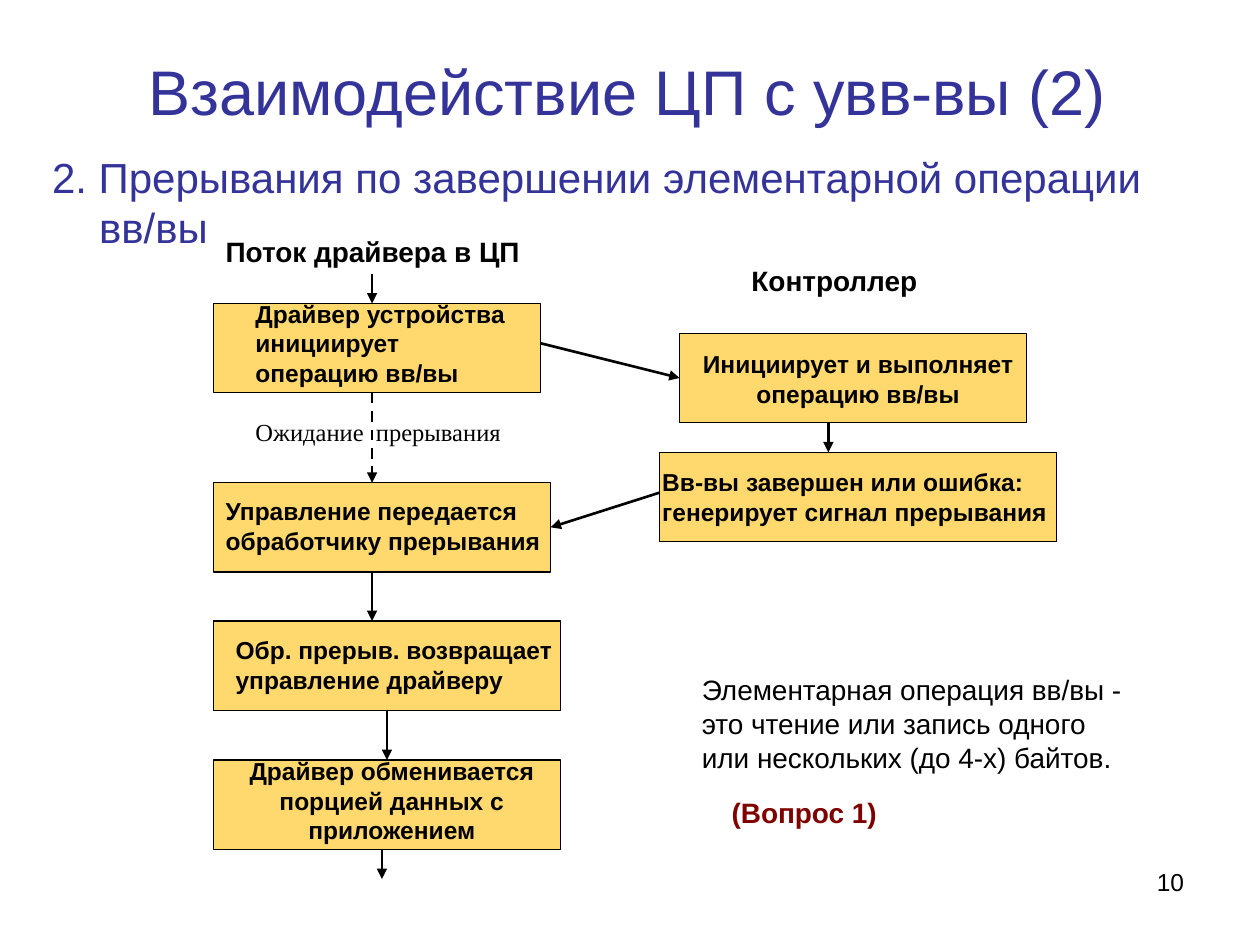
"""Build the slide on interrupt-driven exchange between the CPU and I/O devices."""
import pptx
import pptx.dml.color
import pptx.enum.dml
import pptx.enum.shapes
import pptx.enum.text
import pptx.oxml
import pptx.oxml.ns
import pptx.util

Cm = pptx.util.Cm
Pt = pptx.util.Pt
RGBColor = pptx.dml.color.RGBColor
ALIGN = pptx.enum.text.PP_ALIGN
ANCHOR = pptx.enum.text.MSO_ANCHOR

INDIGO = RGBColor(0x33, 0x33, 0x99)
GOLD = RGBColor(0xFF, 0xD9, 0x6D)
BLACK = RGBColor(0, 0, 0)
MAROON = RGBColor(0x80, 0, 0)

prs = pptx.Presentation()
prs.slide_width = Cm(25.4)
prs.slide_height = Cm(19.05)
s = prs.slides.add_slide(prs.slide_layouts[6])


def add_text(x, y, w, h, text, size, bold=False, color=BLACK, align=ALIGN.LEFT, font="Arial"):
    tf = s.shapes.add_textbox(Cm(x), Cm(y), Cm(w), Cm(h)).text_frame
    tf.word_wrap = True
    tf.text = text
    for p in tf.paragraphs:
        p.alignment = align
        for r in p.runs:
            r.font.name = font
            r.font.size = Pt(size)
            r.font.bold = bold
            r.font.color.rgb = color
    return tf


def add_arrow(x1, y1, x2, y2):
    line = s.shapes.add_connector(
        pptx.enum.shapes.MSO_CONNECTOR.STRAIGHT, Cm(x1), Cm(y1), Cm(x2), Cm(y2))
    line.line.color.rgb = BLACK
    line.line.width = Pt(1.5)
    tail = pptx.oxml.parse_xml('<a:tailEnd %s type="triangle"/>' % pptx.oxml.ns.nsdecls("a"))
    line.line._get_or_add_ln().append(tail)
    effects = pptx.oxml.parse_xml("<a:effectLst %s/>" % pptx.oxml.ns.nsdecls("a"))
    line._element.spPr.append(effects)
    return line


title = add_text(0.2, -0.08, 24.9, 3.8, "Взаимодействие ЦП с увв-вы (2)", 36,
                 color=INDIGO, align=ALIGN.CENTER)
title.vertical_anchor = ANCHOR.MIDDLE

subtitle = add_text(0.8, 2.92, 23.9, 10.8,
                    "2. Прерывания по завершении элементарной операции вв/вы", 24, color=INDIGO)
pPr = subtitle.paragraphs[0]._p.get_or_add_pPr()
pPr.set("marL", str(Cm(0.95)))
pPr.set("indent", str(Cm(-0.95)))

BOX_H = 1.8
boxes = {}
for name, x, y, w in [
    ("start", 4.3, 6.12, 6.6),
    ("handler", 4.3, 9.73, 6.8),
    ("return", 4.3, 12.52, 7),
    ("exchange", 4.3, 15.32, 7),
    ("execute", 13.7, 6.72, 7),
    ("signal", 13.3, 9.12, 8),
]:
    box = s.shapes.add_shape(pptx.enum.shapes.MSO_SHAPE.RECTANGLE, Cm(x), Cm(y), Cm(w), Cm(BOX_H))
    box.shadow.inherit = False
    box.fill.solid()
    box.fill.fore_color.rgb = GOLD
    box.line.color.rgb = BLACK
    box.line.width = Pt(0.75)
    boxes[name] = box

for x, y1, y2 in [(7.5, 5.53, 6.12), (7.5, 11.53, 12.52), (7.7, 17.12, 17.72), (16.7, 8.52, 9.12)]:
    add_arrow(x, y1, x, y2)

waiting = add_arrow(7.5, 7.92, 7.5, 9.73)
waiting.line.dash_style = pptx.enum.dml.MSO_LINE.DASH

to_exchange = add_arrow(7.7, 14.32, 7.7, 15.32)
to_exchange.begin_connect(boxes["return"], 2)
to_exchange.end_connect(boxes["exchange"], 0)

to_controller = add_arrow(10.9, 6.92, 13.7, 7.52)
to_controller.end_connect(boxes["execute"], 1)

interrupt = add_arrow(13.3, 9.93, 11.1, 10.72)
interrupt.end_connect(boxes["handler"], 3)

for x, y, w, h, text, align in [
    (4.9, 5.9, 5.8, 2.02, "Драйвер устройства\nинициирует операцию вв/вы", ALIGN.LEFT),
    (4.3, 9.88, 7.2, 1.44, "Управление передается\nобработчику прерывания", ALIGN.LEFT),
    (4.5, 12.68, 7.2, 1.44, "Обр. прерыв. возвращает управление драйверу", ALIGN.LEFT),
    (4.3, 15.12, 7.2, 2.02, "Драйвер обменивается порцией данных с приложением", ALIGN.CENTER),
    (13.7, 6.92, 7.2, 1.44, "Инициирует и выполняет операцию вв/вы", ALIGN.CENTER),
    (13.1, 9.3, 8.6, 1.44, "Вв-вы завершен или ошибка:\nгенерирует сигнал прерывания", ALIGN.LEFT),
]:
    add_text(x, y, w, h, text, 14, bold=True, align=align)

add_text(4.3, 4.6, 7, 0.93, "Поток драйвера в ЦП", 16, bold=True)
add_text(14.9, 5.18, 4.8, 0.93, "Контроллер", 16, bold=True)
add_text(4.9, 8.28, 6.2, 0.86, "Ожидание  прерывания", 14, font="Times New Roman")
add_text(13.9, 13.44, 9, 2.28,
         "Элементарная операция вв/вы - это чтение или запись одного "
         "или нескольких (до 4-х) байтов.", 16)
add_text(14.5, 15.92, 4.2, 0.93, "(Вопрос 1)", 16, bold=True, color=MAROON)
add_text(18.2, 17.35, 5.92, 1.32, "10", 14, align=ALIGN.RIGHT)

prs.save("out.pptx")
